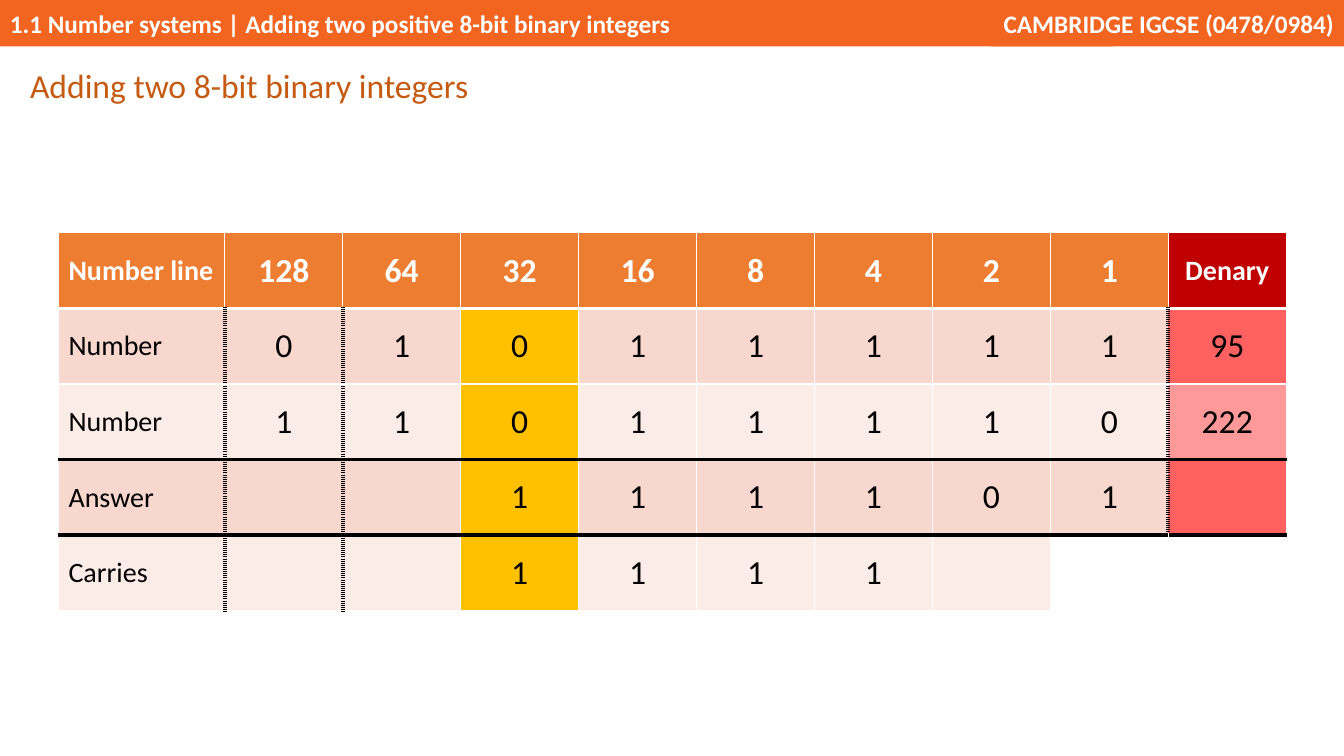
import pptx
import pptx.dml.color
import pptx.enum.shapes
import pptx.enum.text
import pptx.oxml
import pptx.oxml.ns
import pptx.util
from pptx.util import Inches

ALIGN = pptx.enum.text.PP_ALIGN
MIDDLE = pptx.enum.text.MSO_ANCHOR.MIDDLE
WHITE, BLACK, HIGHLIGHT = "FFFFFF", "000000", "FFC000"
HEADER, BANNER, HEADING = "ED7D31", "F26521", "C55A11"
BANDS = ["F8D7CE", "FCECE8"]
DENARY_FILLS = ["C00000", "FF6161", "FF9999", "FF6161", WHITE]

ADDITION = [
    ["Number line", "128", "64", "32", "16", "8", "4", "2", "1", "Denary"],
    ["Number", "0", "1", "0", "1", "1", "1", "1", "1", "95"],
    ["Number", "1", "1", "0", "1", "1", "1", "1", "0", "222"],
    ["Answer", "", "", "1", "1", "1", "1", "0", "1", ""],
    ["Carries", "", "", "1", "1", "1", "1", "", "", ""],
]
ACTIVE, UNITS, DENARY = 3, 8, 9
ANSWER, CARRIES = 3, 4


def rgb(value):
    return pptx.dml.color.RGBColor.from_string(value)


def cell_fill(row, column):
    if column == DENARY:
        return DENARY_FILLS[row]
    if row == 0:
        return HEADER
    if column == ACTIVE:
        return HIGHLIGHT
    if row == CARRIES and column == UNITS:
        return WHITE
    return BANDS[(row - 1) % 2]


def upright_rule(row, edge):
    dotted = row > 0 and (edge in (1, 2) or (edge == DENARY and row < CARRIES))
    return (BLACK, 3, "dot") if dotted else (WHITE, 1, "solid")


def level_rule(edge):
    if edge in (ANSWER, CARRIES):
        return BLACK, 3, "solid"
    return WHITE, 3 if edge == 1 else 1, "solid"


class SlideBuilder:
    def __init__(self, presentation):
        self.font_name = "Calibri"
        self.slide = presentation.slides.add_slide(presentation.slide_layouts[6])

    def style(self, paragraph, text, size, color, bold=False, align=ALIGN.LEFT):
        paragraph.text = text
        paragraph.alignment = align
        paragraph.font.name = self.font_name
        paragraph.font.size = pptx.util.Pt(size)
        paragraph.font.bold = bold
        paragraph.font.color.rgb = rgb(color)

    def banner(self, left, width, text, align):
        bar = self.slide.shapes.add_shape(
            pptx.enum.shapes.MSO_SHAPE.RECTANGLE,
            Inches(left), 0, Inches(width), Inches(0.46))
        bar.shadow.inherit = False
        bar.fill.solid()
        bar.fill.fore_color.rgb = rgb(BANNER)
        bar.line.fill.background()
        bar.text_frame.word_wrap = True
        bar.text_frame.vertical_anchor = MIDDLE
        self.style(bar.text_frame.paragraphs[0], text, 18, WHITE, True, align)

    def heading(self, text):
        box = self.slide.shapes.add_textbox(
            Inches(0.2), Inches(0.57), Inches(4.8), Inches(0.51))
        box.text_frame.word_wrap = True
        paragraph = box.text_frame.paragraphs[0]
        paragraph.line_spacing = 1.07
        paragraph.space_after = pptx.util.Pt(8)
        self.style(paragraph, text, 24, HEADING)

    def border(self, cell, side, color, width, dash):
        cell._tc.get_or_add_tcPr().append(pptx.oxml.parse_xml(
            f'<a:{side} {pptx.oxml.ns.nsdecls("a")} w="{pptx.util.Pt(width)}">'
            f'<a:solidFill><a:srgbClr val="{color}"/></a:solidFill>'
            f'<a:prstDash val="{dash}"/></a:{side}>'))

    def cell(self, cell, row, column, text):
        self.border(cell, "lnL", *upright_rule(row, column))
        self.border(cell, "lnR", *upright_rule(row, column + 1))
        self.border(cell, "lnT", *level_rule(row))
        self.border(cell, "lnB", *level_rule(row + 1))
        cell.fill.solid()
        cell.fill.fore_color.rgb = rgb(cell_fill(row, column))
        cell.vertical_anchor = MIDDLE
        label = column == 0 or (row == 0 and column == DENARY)
        self.style(cell.text_frame.paragraphs[0], text, 20 if label else 24,
                   WHITE if row == 0 else BLACK, row == 0,
                   ALIGN.LEFT if column == 0 else ALIGN.CENTER)

    def table(self, rows):
        grid = self.slide.shapes.add_table(
            len(rows), len(rows[0]),
            Inches(0.58), Inches(2.31), Inches(12.17), Inches(3.75)).table
        for index, column in enumerate(grid.columns):
            column.width = Inches(1.65 if index == 0 else 1.17)
        for r, values in enumerate(rows):
            grid.rows[r].height = Inches(0.75)
            for c, value in enumerate(values):
                self.cell(grid.cell(r, c), r, c, value)


def main():
    presentation = pptx.Presentation()
    presentation.slide_width = Inches(13.33)
    presentation.slide_height = Inches(7.5)
    builder = SlideBuilder(presentation)
    builder.banner(0, 11.04, "1.1 Number systems | Adding two positive 8-bit binary integers", ALIGN.LEFT)
    builder.banner(9.83, 3.5, "CAMBRIDGE IGCSE (0478/0984)", ALIGN.RIGHT)
    builder.table(ADDITION)
    builder.heading("Adding two 8-bit binary integers")
    presentation.save("out.pptx")


if __name__ == "__main__":
    main()
